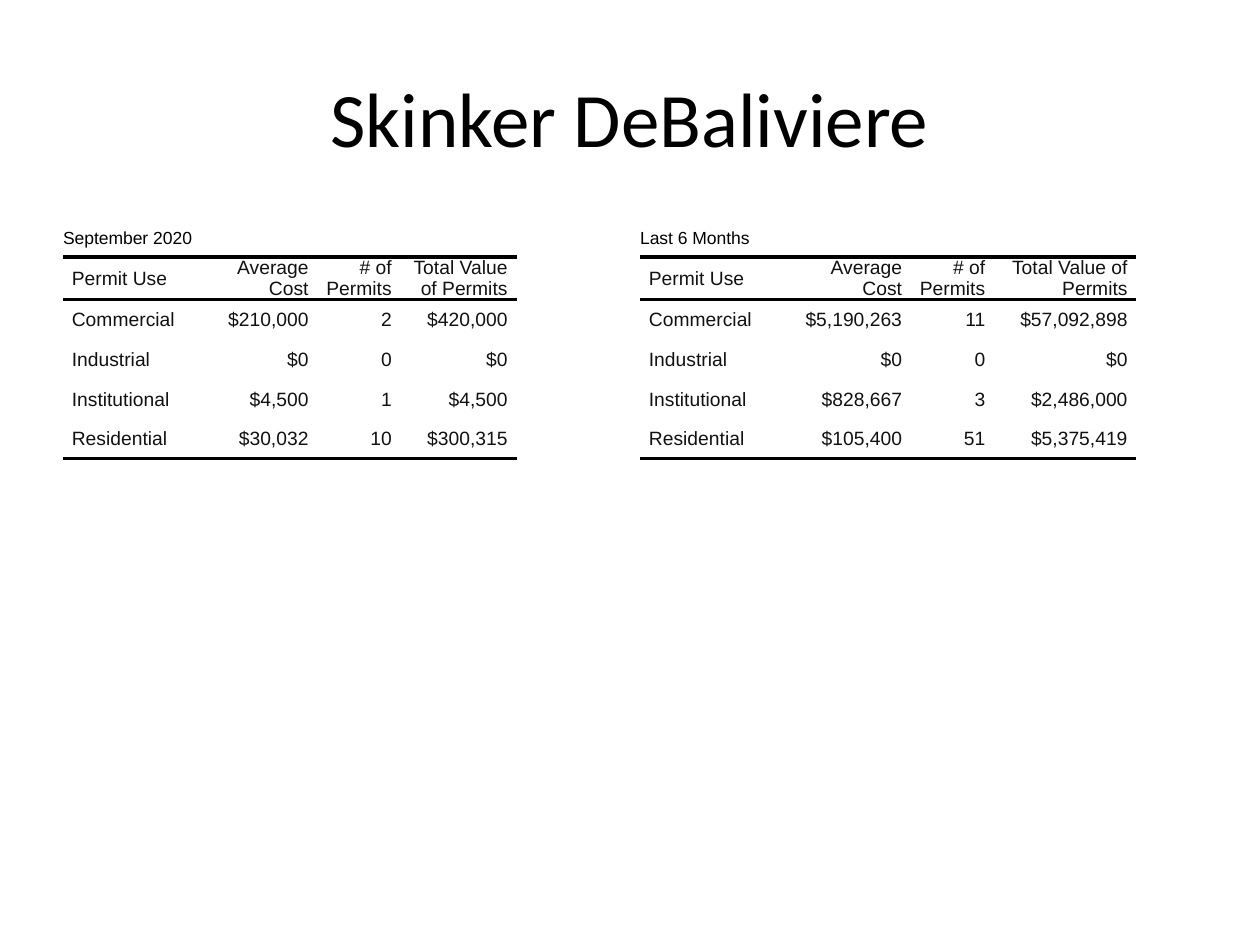
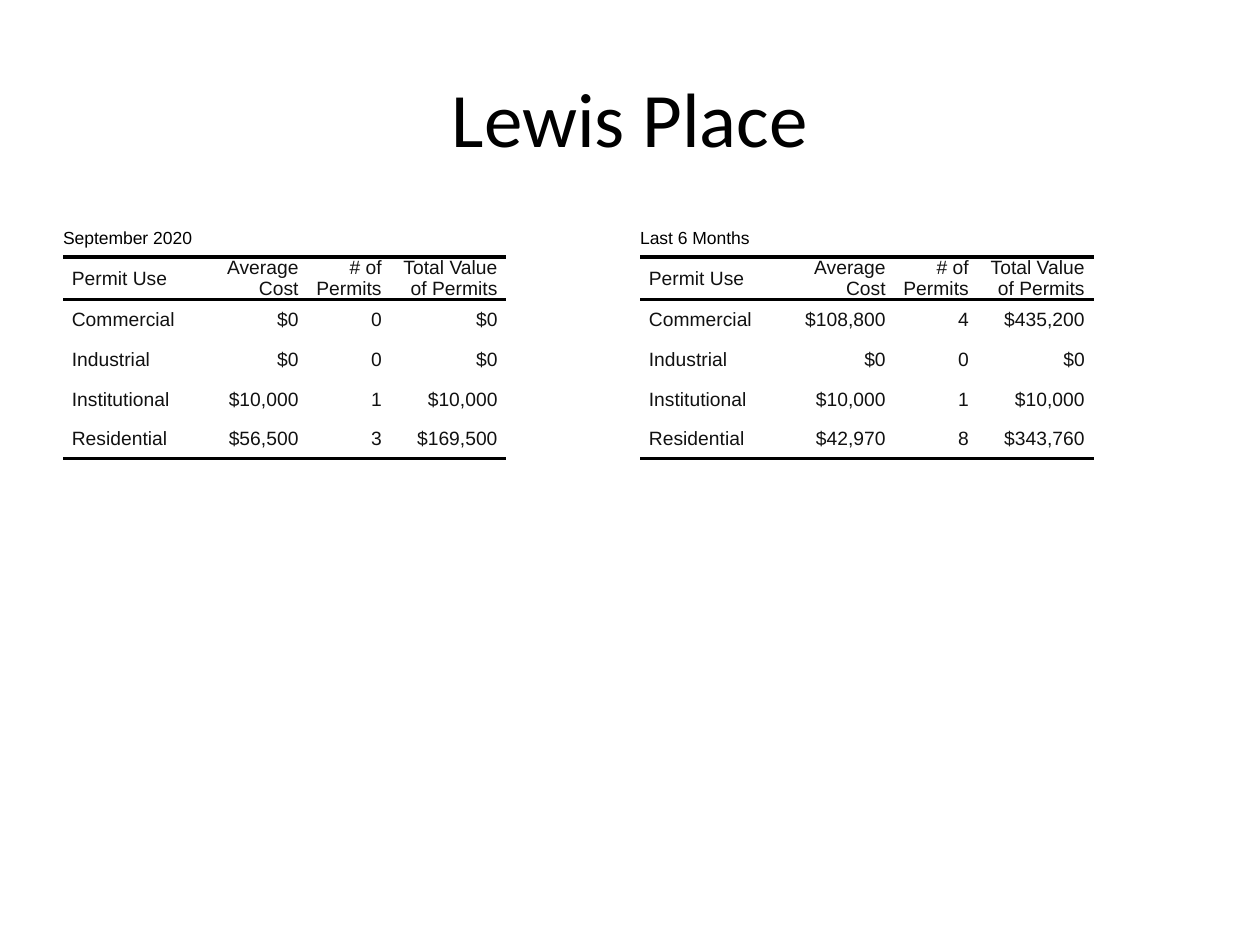
import lxml.etree
import pptx
import pptx.dml.color
import pptx.enum.text
import pptx.oxml.ns
import pptx.util

Inches = pptx.util.Inches
Pt = pptx.util.Pt
RGBColor = pptx.dml.color.RGBColor
PP_ALIGN = pptx.enum.text.PP_ALIGN
MSO_ANCHOR = pptx.enum.text.MSO_ANCHOR
qn = pptx.oxml.ns.qn

BLACK = RGBColor(0x00, 0x00, 0x00)
TABLE_TEXT = RGBColor(0x11, 0x11, 0x11)
TITLE_FONT = "Calibri"
TABLE_FONT = "Arial"
NO_STYLE_NO_GRID = "{2D5ABB26-0587-4C30-8999-92F81FD0307C}"

TITLE_ONLY_LAYOUT = 5
TABLE_TOP = 1.75
MONTH_LEFT = 0.5
HALF_YEAR_LEFT = 5.08
USE_WIDTH = 1.1
COUNT_WIDTH = 0.66
ROW_HEIGHTS = (0.29, 0.29, 0.32, 0.31, 0.32, 0.31)
CELL_INDENT = 0.07
RULE_WIDTH = 2

HEADINGS = ("Permit Use", "Average Cost", "# of Permits", "Total Value of Permits")
PERMIT_USES = ("Commercial", "Industrial", "Institutional", "Residential")

NEIGHBORHOODS = (
    (
        "Skinker DeBaliviere",
        (0.92, 0.92),
        (
            ("$210,000", "2", "$420,000"),
            ("$0", "0", "$0"),
            ("$4,500", "1", "$4,500"),
            ("$30,032", "10", "$300,315"),
        ),
        (1.05, 1.13),
        (
            ("$5,190,263", "11", "$57,092,898"),
            ("$0", "0", "$0"),
            ("$828,667", "3", "$2,486,000"),
            ("$105,400", "51", "$5,375,419"),
        ),
    ),
    (
        "Lewis Place",
        (0.84, 0.92),
        (
            ("$0", "0", "$0"),
            ("$0", "0", "$0"),
            ("$10,000", "1", "$10,000"),
            ("$56,500", "3", "$169,500"),
        ),
        (0.92, 0.92),
        (
            ("$108,800", "4", "$435,200"),
            ("$0", "0", "$0"),
            ("$10,000", "1", "$10,000"),
            ("$42,970", "8", "$343,760"),
        ),
    ),
)


def write_text(text_frame, text, size, font=TABLE_FONT, color=TABLE_TEXT,
               align=PP_ALIGN.LEFT, indent=0, space_after=0):
    paragraph = text_frame.paragraphs[0]
    paragraph.alignment = align
    paragraph.space_after = Pt(space_after)
    if indent:
        properties = paragraph._p.get_or_add_pPr()
        for side in ("marL", "marR"):
            properties.set(side, str(Inches(indent)))
    run = paragraph.add_run()
    run.text = text
    run.font.name = font
    run.font.size = Pt(size)
    run.font.color.rgb = color


def add_rule(cell, side):
    line = lxml.etree.SubElement(cell._tc.get_or_add_tcPr(), qn(f"a:ln{side}"),
                                 w=str(Pt(RULE_WIDTH)))
    fill = lxml.etree.SubElement(line, qn("a:solidFill"))
    lxml.etree.SubElement(fill, qn("a:srgbClr"), val=str(BLACK))


def format_cell(cell, rules=""):
    cell.margin_left = cell.margin_right = Inches(0)
    cell.margin_top = cell.margin_bottom = Inches(0)
    cell.vertical_anchor = MSO_ANCHOR.MIDDLE
    for side in rules:
        add_rule(cell, side)
    cell.fill.background()


def add_title(slide, text):
    title = slide.shapes.title
    title.left, title.top = Inches(0.5), Inches(0.3)
    title.width, title.height = Inches(9), Inches(1.25)
    title.text_frame.vertical_anchor = MSO_ANCHOR.MIDDLE
    write_text(title.text_frame, text, 44, font=TITLE_FONT, color=BLACK,
               align=PP_ALIGN.CENTER)


def add_permit_table(slide, left, period, money_widths, figures):
    cost_width, total_width = money_widths
    widths = (USE_WIDTH, cost_width, COUNT_WIDTH, total_width)
    frame = slide.shapes.add_table(
        len(ROW_HEIGHTS), len(widths), Inches(left), Inches(TABLE_TOP),
        Inches(sum(widths)), Inches(sum(ROW_HEIGHTS)))
    table = frame.table
    table.first_row = table.horz_banding = False
    table._tbl.tblPr.find(qn("a:tableStyleId")).text = NO_STYLE_NO_GRID
    for column, width in zip(table.columns, widths):
        column.width = Inches(width)
    for row, height in zip(table.rows, ROW_HEIGHTS):
        row.height = Inches(height)

    for column_index in range(len(widths)):
        format_cell(table.cell(0, column_index))
    table.cell(0, 0).merge(table.cell(0, len(widths) - 1))
    write_text(table.cell(0, 0).text_frame, period, 10, color=BLACK)

    body = [(use, *values) for use, values in zip(PERMIT_USES, figures)]
    rules_by_row = {1: "TB", len(body) + 1: "B"}
    for row_index, texts in enumerate([HEADINGS, *body], start=1):
        for column_index, text in enumerate(texts):
            cell = table.cell(row_index, column_index)
            format_cell(cell, rules_by_row.get(row_index, ""))
            write_text(cell.text_frame, text, 11, indent=CELL_INDENT, space_after=2,
                       align=PP_ALIGN.RIGHT if column_index else PP_ALIGN.LEFT)


def main():
    presentation = pptx.Presentation()
    presentation.slide_width = Inches(10)
    presentation.slide_height = Inches(7.5)
    layout = presentation.slide_layouts[TITLE_ONLY_LAYOUT]
    for name, month_widths, month, half_year_widths, half_year in NEIGHBORHOODS:
        slide = presentation.slides.add_slide(layout)
        add_title(slide, name)
        add_permit_table(slide, MONTH_LEFT, "September 2020", month_widths, month)
        add_permit_table(slide, HALF_YEAR_LEFT, "Last 6 Months",
                         half_year_widths, half_year)
    presentation.save("out.pptx")


if __name__ == "__main__":
    main()
